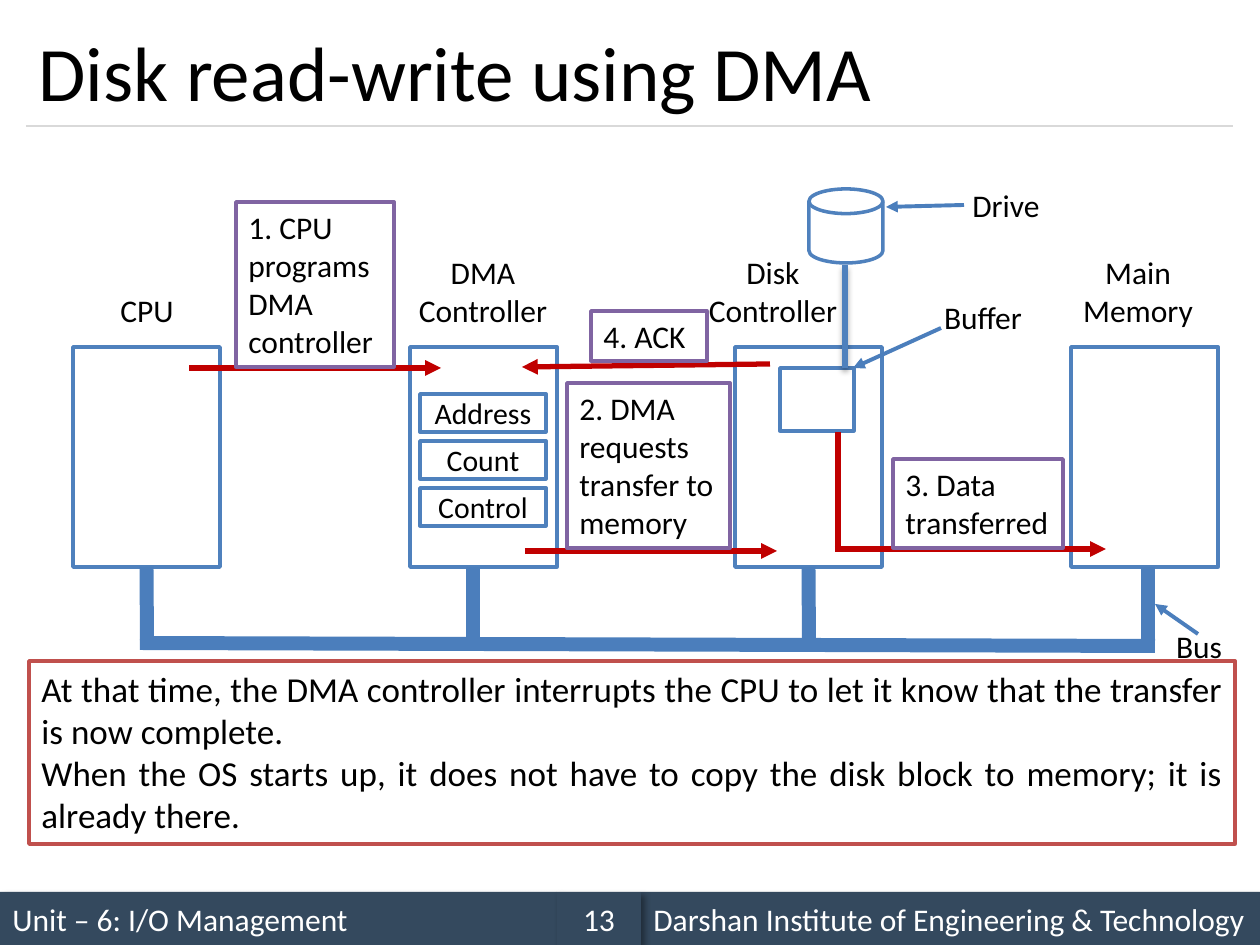
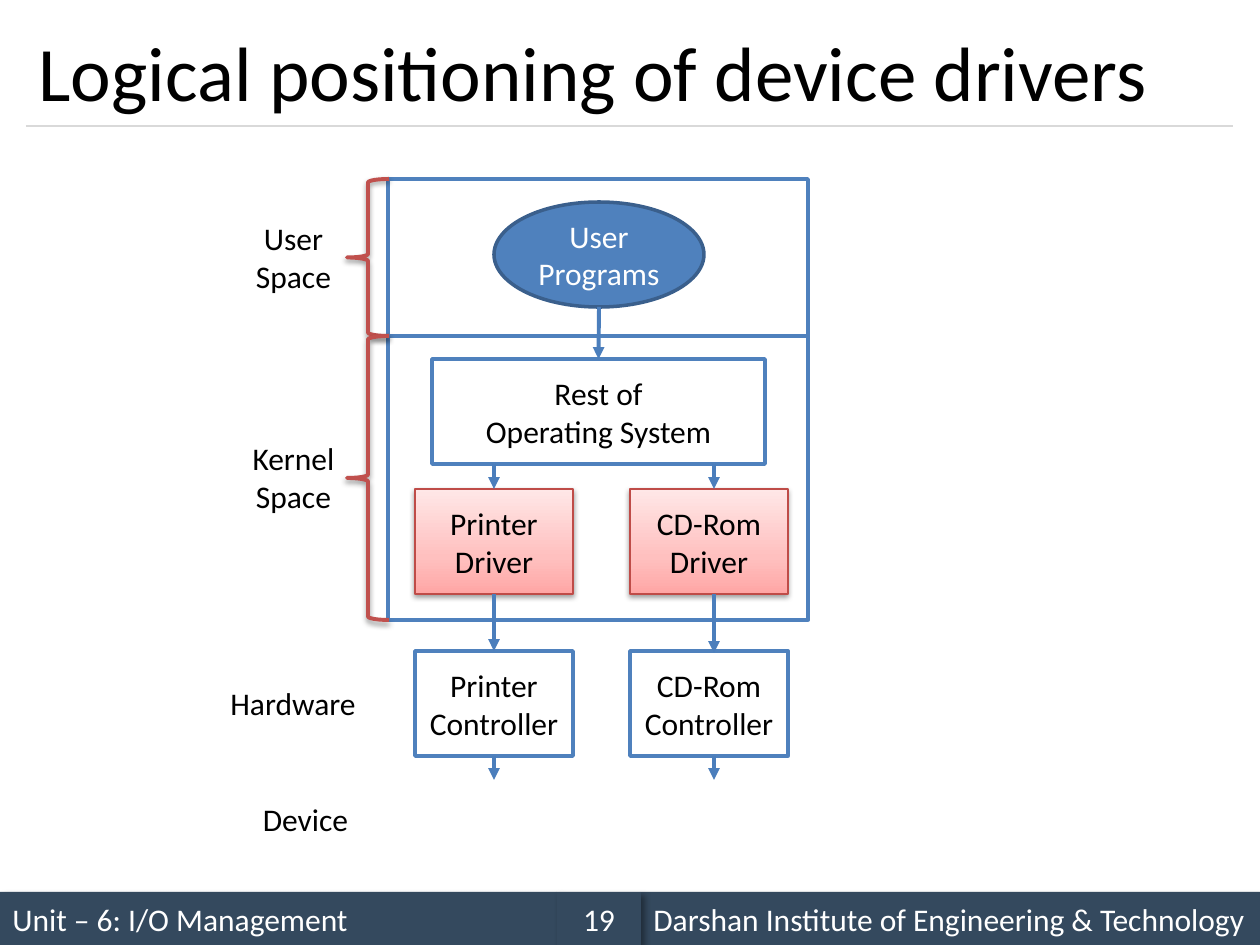
import copy
import dataclasses

import pptx
import pptx.dml.color
import pptx.enum.shapes
import pptx.enum.text
import pptx.oxml.ns
import pptx.oxml.xmlchemy
import pptx.slide
import pptx.util

PX = 914400 / 126
FONT = "Calibri"
WHITE, BLACK, NAVY, RULE = "FFFFFF", "000000", "34495E", "D9D9D9"
BLUE, BUS_BLUE, DEEP_BLUE = "4F81BD", "4B7EBC", "3A5F8C"
RED, BRICK, DARK_BRICK, PURPLE = "C00000", "C0504D", "BF4C48", "8064A2"
DRIVER_STOPS = ((0, "FFA6A5"), (0.35, "FFC0BF"), (1, "FFE7E7"))
BAND_SHADOW = (40, 4, 3, 45)
SOFT_SHADOW = (38, 3.1, 1.6, 90)
STEM_SHADOW = (35, 3.1, 1.8, 90)

SHAPE = pptx.enum.shapes.MSO_SHAPE
ALIGN = pptx.enum.text.PP_ALIGN
ANCHOR = pptx.enum.text.MSO_ANCHOR


def px(n):
    """Turn pixels into EMU."""
    return pptx.util.Emu(round(n * PX))


def rgb(value):
    """Turn a hex string into a colour."""
    return pptx.dml.color.RGBColor.from_string(value)


def add_xml(parent, tag, **attrs):
    """Append a drawing element with attributes and return it."""
    child = pptx.oxml.xmlchemy.OxmlElement(tag)
    for name, value in attrs.items():
        child.set(name, str(value))
    parent.append(child)
    return child


def set_shadow(sp, shadow):
    """Replace the theme shadow by the given one, or by none."""
    sp_pr = sp._element.spPr
    for old in sp_pr.findall(pptx.oxml.ns.qn("a:effectLst")):
        sp_pr.remove(old)
    effects = add_xml(sp_pr, "a:effectLst")
    if shadow:
        alpha, blur, dist, angle = shadow
        outer = add_xml(effects, "a:outerShdw", blurRad=round(blur * 12700),
                        dist=round(dist * 12700), dir=angle * 60000, rotWithShape=0)
        tint = add_xml(outer, "a:srgbClr", val=BLACK)
        add_xml(tint, "a:alpha", val=alpha * 1000)


def set_text(sp, text, size=18, color=BLACK, align=ALIGN.CENTER, anchor=ANCHOR.MIDDLE):
    """Write text into a shape and format its runs."""
    tf = sp.text_frame
    tf.text = text
    tf.word_wrap = True
    tf.vertical_anchor = anchor
    for p in tf.paragraphs:
        p.alignment = align
        for r in p.runs:
            r.font.name = FONT
            r.font.size = pptx.util.Pt(size)
            r.font.color.rgb = rgb(color)


def set_fill(sp, fill):
    """Fill a shape with one colour, upward gradient stops or nothing."""
    if fill is None:
        sp.fill.background()
    elif isinstance(fill, str):
        sp.fill.solid()
        sp.fill.fore_color.rgb = rgb(fill)
    else:
        sp.fill.gradient()
        sp.fill.gradient_angle = 90
        stops = sp._element.spPr.find(".//" + pptx.oxml.ns.qn("a:gsLst"))
        stops.insert(1, copy.deepcopy(stops[0]))
        for stop, (position, color) in zip(sp.fill.gradient_stops, fill):
            stop.position = position
            stop.color.rgb = rgb(color)


@dataclasses.dataclass
class Region:
    """A part of a slide whose contents are placed from its top left corner."""

    slide: pptx.slide.Slide
    left: int
    top: int

    def box(self, x, y, w, h, text="", fill=WHITE, line=BLUE, weight=2,
            kind=SHAPE.RECTANGLE, shadow=None, **style):
        """Add a preset shape with optional text."""
        sp = self.slide.shapes.add_shape(
            kind, px(self.left + x), px(self.top + y), px(w), px(h))
        sp.shadow.inherit = False
        set_fill(sp, fill)
        if line:
            sp.line.color.rgb = rgb(line)
            sp.line.width = pptx.util.Pt(weight)
        else:
            sp.line.fill.background()
        set_shadow(sp, shadow)
        if text:
            set_text(sp, text, **style)
        return sp

    def label(self, text, x, y, w, h=50):
        """Add a centred text box."""
        sp = self.slide.shapes.add_textbox(
            px(self.left + x), px(self.top + y), px(w), px(h))
        set_text(sp, text, anchor=ANCHOR.TOP)

    def line(self, x1, y1, x2, y2, color=BUS_BLUE, weight=2.25, arrow=False,
             start=None, end=None, shadow=None):
        """Add a line, joined to the bottom of start and the top of end."""
        cx = self.slide.shapes.add_connector(
            pptx.enum.shapes.MSO_CONNECTOR.STRAIGHT,
            px(self.left + x1), px(self.top + y1),
            px(self.left + x2), px(self.top + y2))
        if start is not None:
            cx.begin_connect(start, 2)
        if end is not None:
            cx.end_connect(end, 0)
        cx.line.color.rgb = rgb(color)
        cx.line.width = pptx.util.Pt(weight)
        if arrow:
            add_xml(cx.line._get_or_add_ln(), "a:tailEnd", type="triangle")
        set_shadow(cx, shadow)


def add_footer(region, number):
    """Draw the three footer bands."""
    for x, w, text, align in (
            (0, 557, "Unit – 6: I/O Management", ALIGN.LEFT),
            (641, 619, "Darshan Institute of Engineering & Technology", ALIGN.LEFT),
            (557, 84, str(number), ALIGN.CENTER)):
        region.box(x, 0, w, 53, text, fill=NAVY, line=None, shadow=BAND_SHADOW,
                   color=WHITE, align=align)


def add_titled_slide(prs, title, number):
    """Add a slide with its title, rule and footer."""
    slide = prs.slides.add_slide(prs.slide_layouts[5])
    sp = slide.shapes.title
    sp.left, sp.top, sp.width, sp.height = px(26), px(15), px(1207), px(111)
    set_text(sp, title, size=44, align=ALIGN.LEFT)
    Region(slide, 26, 126).line(0, 0, 1207, 0, color=RULE, weight=0.75)
    add_footer(Region(slide, 0, 892), number)
    return slide


def add_units(region):
    """Draw the four units, their inner parts and the bus below them."""
    cpu, dma, disk, memory = [region.box(x, 167, 147, 220) for x in (0, 337, 662, 998)]
    region.box(736, 9, 74, 74, kind=SHAPE.FLOWCHART_MAGNETIC_DISK)
    region.box(707, 188, 74, 63)
    for i, register in enumerate(("Address", "Count", "Control")):
        region.box(347, 214 + 47 * i, 126, 38, register, size=17)
    for x, unit in ((74, cpu), (400, None), (736, disk), (1075, None)):
        region.line(x, 387, x, 460, weight=8, start=unit)
    region.line(67, 463, 1082, 466, weight=8)


def add_unit_labels(region):
    """Name the units and point at the bus, buffer and drive."""
    region.label("CPU", 32, 105, 84)
    for text, x in (("DMA\nController", 330), ("Disk\nController", 620),
                    ("Main\nMemory", 985)):
        region.label(text, x, 67, 160, 89)
    for text, x, y, w, pointer in (
            ("Bus", 1084, 441, 84, (1125, 454, 1082, 424)),
            ("Buffer", 852, 112, 116, (868, 148, 780, 188)),
            ("Drive", 882, 0, 102, (891, 25, 813, 27))):
        region.label(text, x, y, w)
        region.line(*pointer, arrow=True)


def add_transfer_steps(region):
    """Draw the numbered steps of the transfer with their red arrows."""
    for text, box, arrow in (
            ("1. CPU programs DMA controller", (163, 22, 158, 165), (116, 188, 368, 188)),
            ("2. DMA requests transfer to memory", (494, 203, 163, 165), (452, 371, 704, 371)),
            ("3. Data transferred", (820, 279, 170, 89), (762, 369, 1033, 369)),
            ("4. ACK", (518, 131, 116, 50), (697, 184, 449, 187))):
        region.line(*arrow, color=RED, weight=3, arrow=True)
        region.box(*box, text, line=PURPLE, align=ALIGN.LEFT, anchor=ANCHOR.TOP)
    region.line(765, 252, 765, 371, color=RED, weight=3)
    region.line(772, 85, 772, 188, color=BLUE, weight=3, shadow=STEM_SHADOW)


def add_note(region):
    """Draw the framed explanation."""
    region.box(0, 0, 1206, 183,
               "At that time, the DMA controller interrupts the CPU to let it know "
               "that the transfer is now complete.\n"
               "When the OS starts up, it does not have to copy the disk block to "
               "memory; it is already there.",
               line=BRICK, size=20, align=ALIGN.JUSTIFY, anchor=ANCHOR.TOP)


def add_spaces(region):
    """Draw the user and kernel spaces and the labels of all levels."""
    spaces = ((0, 157), (157, 284))
    for y, h in spaces:
        region.box(173, y, 420, h)
    for y, h in spaces:
        region.box(132, y, 42, h, fill=None, line=BRICK, weight=2.25,
                   kind=SHAPE.LEFT_BRACE, shadow=SOFT_SHADOW)
    region.label("User Space", 23, 34, 111, 89)
    region.label("Kernel Space", 23, 254, 111, 89)
    region.label("Hardware", 0, 499, 156)
    region.label("Device", 32, 615, 117)


def add_driver_stack(region):
    """Draw the programs, the system, and each driver above its controller."""
    region.box(279, 23, 210, 105, "User\nPrograms", fill=BLUE, line=DEEP_BLUE,
               kind=SHAPE.OVAL, color=WHITE)
    system = region.box(217, 180, 333, 105, "Rest of\nOperating System")
    region.line(384, 128, 384, 180, arrow=True, end=system)
    width = 158
    for device, left, x in (("Printer", 200, 279), ("CD-Rom", 415, 499)):
        driver = region.box(left, 310, width, 105, device + "\nDriver", fill=DRIVER_STOPS,
                            line=DARK_BRICK, weight=0.75, shadow=SOFT_SHADOW)
        controller = region.box(left, 472, width, 105, device + "\nController")
        if x != left + width // 2:
            driver = controller = None
        region.line(x, 285, x, 310, arrow=True, end=driver)
        region.line(x, 415, x, 474, arrow=True, start=driver, end=controller)
        region.line(x, 577, x, 601, arrow=True, start=controller)


def main():
    """Build and save the two slides."""
    prs = pptx.Presentation()
    prs.slide_width, prs.slide_height = px(1260), px(945)

    slide = add_titled_slide(prs, "Disk read-write using DMA", 13)
    diagram = Region(slide, 73, 180)
    add_units(diagram)
    add_unit_labels(diagram)
    add_transfer_steps(diagram)
    add_note(Region(slide, 29, 661))

    slide = add_titled_slide(prs, "Logical positioning of device drivers", 19)
    diagram = Region(slide, 215, 179)
    add_spaces(diagram)
    add_driver_stack(diagram)

    prs.save("out.pptx")


if __name__ == "__main__":
    main()
